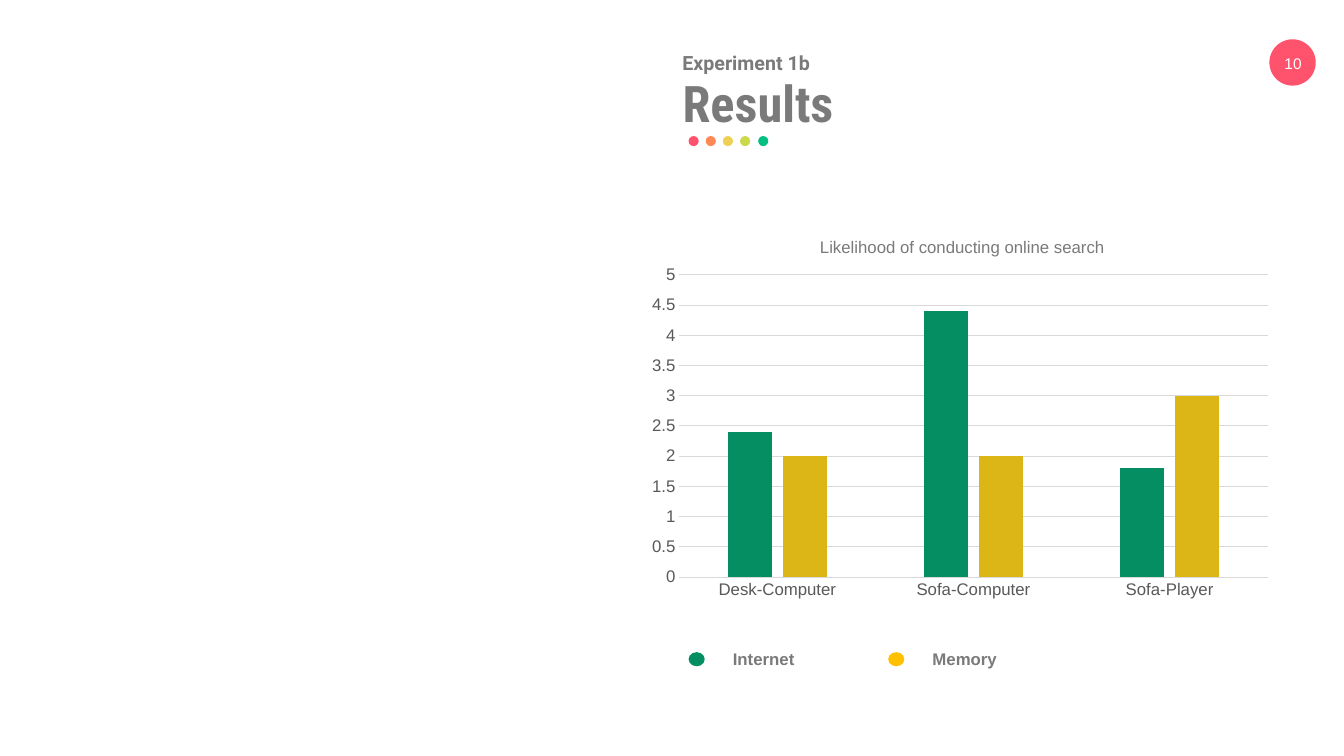
from pptx import Presentation
from pptx.chart.data import CategoryChartData
from pptx.dml.color import RGBColor
from pptx.enum.chart import XL_CHART_TYPE, XL_TICK_MARK
from pptx.enum.shapes import MSO_SHAPE
from pptx.enum.text import MSO_ANCHOR, PP_ALIGN
from pptx.util import Pt

PX = 9144
COLORS = {
    "white": "FFFFFF", "grey": "7A7A7A", "label": "595959", "grid": "D9D9D9",
    "pink": "FF526D", "orange": "FF8854", "yellow": "EED054",
    "lime": "CBD84C", "mint": "05BE82",
    "green": "048E61", "gold": "DCB516", "amber": "FFC000",
}


def rgb(name):
    return RGBColor.from_string(COLORS[name])


def place(shape, left, top, width, height):
    shape.left, shape.top = left * PX, top * PX
    shape.width, shape.height = width * PX, height * PX


def write(shape, text, size, font="Arial", color="grey", bold=False,
          align=PP_ALIGN.LEFT, anchor=MSO_ANCHOR.TOP, space=1.0):
    frame = shape.text_frame
    frame.text = text
    frame.word_wrap = True
    frame.vertical_anchor = anchor
    para = frame.paragraphs[0]
    para.alignment = align
    para.line_spacing = space
    para.font.name = font
    para.font.size = Pt(size)
    para.font.bold = bold
    para.font.color.rgb = rgb(color)


def add_text(slide, box, text, size, **style):
    shape = slide.shapes.add_textbox(*(n * PX for n in box))
    write(shape, text, size, **style)


def add_dot(slide, box, color):
    dot = slide.shapes.add_shape(MSO_SHAPE.OVAL, *(n * PX for n in box))
    dot.shadow.inherit = False
    dot.fill.solid()
    dot.fill.fore_color.rgb = rgb(color)
    dot.line.fill.background()


def add_key(slide, left, text, color):
    add_dot(slide, (left, 647, 16, 14), color)
    add_text(slide, (left + 34, 639, 149, 30), text, 12, bold=True)


def style_axis(axis):
    axis.major_tick_mark = XL_TICK_MARK.NONE
    axis.minor_tick_mark = XL_TICK_MARK.NONE
    font = axis.tick_labels.font
    font.name, font.size = "Arial", Pt(12)
    font.color.rgb = rgb("label")


def style_line(line):
    line.color.rgb = rgb("grid")
    line.width = Pt(0.75)


def add_bars(slide, box, cats, rows):
    data = CategoryChartData()
    data.categories = cats
    for name, values, color in rows:
        data.add_series(name, values)
    frame = slide.shapes.add_chart(
        XL_CHART_TYPE.COLUMN_CLUSTERED, *(n * PX for n in box), data)
    chart = frame.chart
    chart.has_title = False
    chart.has_legend = False
    chart.font.name, chart.font.size = "Arial", Pt(10)
    plot = chart.plots[0]
    plot.gap_width, plot.overlap = 219, -27
    plot.vary_by_categories = False
    for bars, (name, values, color) in zip(plot.series, rows):
        bars.format.fill.solid()
        bars.format.fill.fore_color.rgb = rgb(color)
    style_axis(chart.category_axis)
    style_line(chart.category_axis.format.line)
    scale = chart.value_axis
    style_axis(scale)
    scale.minimum_scale, scale.maximum_scale, scale.major_unit = 0, 5, 0.5
    scale.format.line.fill.background()
    scale.has_major_gridlines = True
    style_line(scale.major_gridlines.format.line)


def main():
    deck = Presentation()
    deck.slide_width, deck.slide_height = 1333 * PX, 750 * PX
    slide = deck.slides.add_slide(deck.slide_layouts[5])

    add_dot(slide, (1259, 39, 46, 46), "pink")
    add_text(slide, (1238, 48, 89, 29), "10", 11, color="white",
             align=PP_ALIGN.CENTER, anchor=MSO_ANCHOR.MIDDLE)

    title = slide.shapes.title
    place(title, 667, 67, 667, 71)
    write(title, "Results", 36, font="Roboto Condensed", bold=True)
    add_text(slide, (667, 46, 667, 34), "Experiment 1b", 14,
             font="Roboto", bold=True)
    for i, color in enumerate(("pink", "orange", "yellow", "lime", "mint")):
        add_dot(slide, (683 + 69 * i // 4, 135, 10, 10), color)

    add_text(slide, (667, 220, 575, 37),
             "Likelihood of conducting online search", 12,
             align=PP_ALIGN.CENTER, space=1.5)
    add_bars(slide, (634, 257, 636, 344),
             ("Desk-Computer", "Sofa-Computer", "Sofa-Player"),
             (("Internet", (2.4, 4.4, 1.8), "green"),
              ("Memory", (2, 2, 3), "gold")))
    add_key(slide, 683, "Internet", "green")
    add_key(slide, 881, "Memory", "amber")

    deck.save("out.pptx")


if __name__ == "__main__":
    main()
